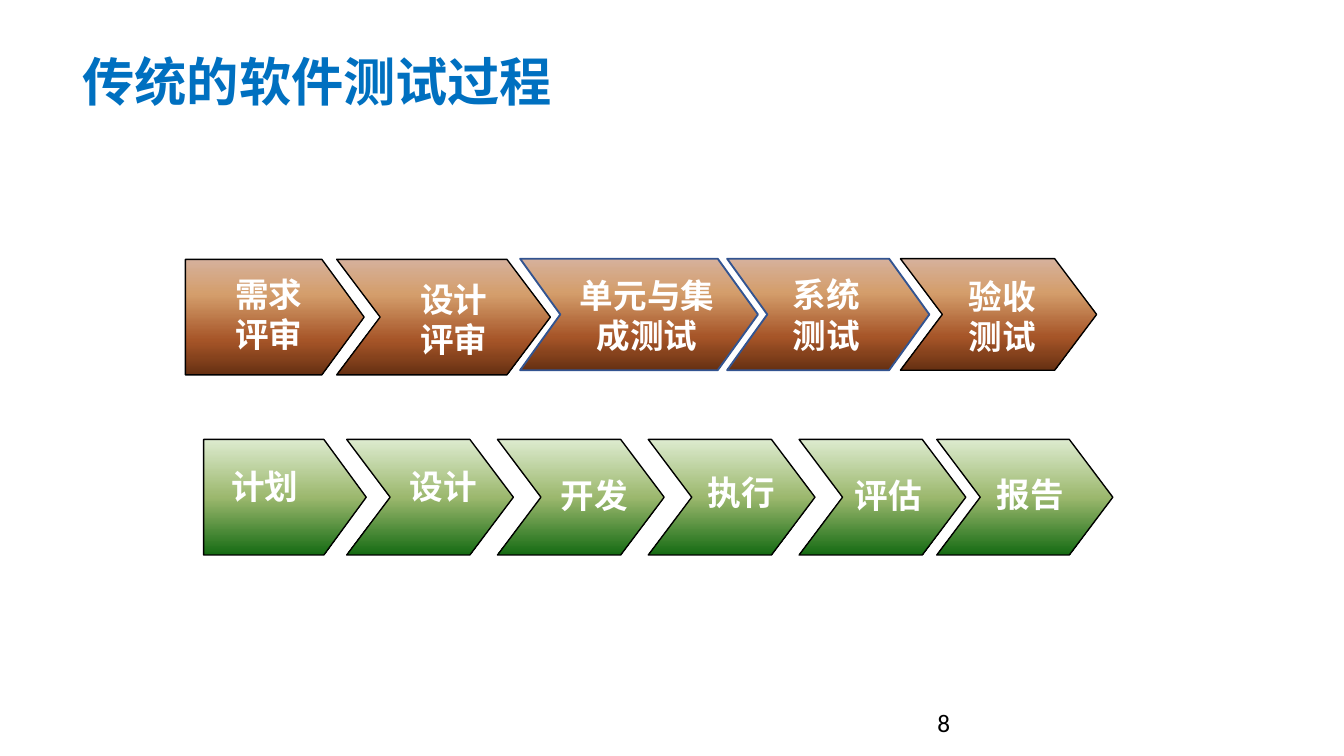
from dataclasses import dataclass

import pptx
import pptx.dml.color
import pptx.enum.shapes
import pptx.enum.text
import pptx.oxml
import pptx.oxml.ns
import pptx.util
from lxml import etree

SLIDE_WIDTH = pptx.util.Inches(10)
SLIDE_HEIGHT = SLIDE_WIDTH * 9 // 16
CELL = SLIDE_WIDTH / 100  # square grid: 100 columns across the slide

CJK_FONT = "Noto Sans CJK SC"
BROWN = ((0, "D6B19C"), (30, "D49E6C"), (70, "A65528"), (100, "663012"))
GREEN = ((0, "DDEBCF"), (50, "9CB86E"), (100, "156B13"))
BLACK, WHITE, NAVY, BLUE = "000000", "FFFFFF", "325491", "0070C0"

PENTAGON = pptx.enum.shapes.MSO_SHAPE.PENTAGON
CHEVRON = pptx.enum.shapes.MSO_SHAPE.CHEVRON
LEFT = pptx.enum.text.PP_ALIGN.LEFT
CENTER = pptx.enum.text.PP_ALIGN.CENTER


@dataclass(frozen=True)
class Area:
    """A rectangle in grid columns and rows."""
    column: float
    row: float
    columns: float
    rows: float

    def lengths(self) -> list[int]:
        return [round(n * CELL) for n in (self.column, self.row, self.columns, self.rows)]


@dataclass(frozen=True)
class Step:
    label: str
    arrow: Area
    label_area: Area
    stops: tuple
    kind: int = CHEVRON
    point: float = 0.376
    edge: str = BLACK
    edge_width: float = 0.75
    align: int = LEFT


def color(value: str) -> pptx.dml.color.RGBColor:
    return pptx.dml.color.RGBColor.from_string(value)


def fill_downward(shape, stops: tuple) -> None:
    """Fill a shape with a top-to-bottom gradient of any number of stops."""
    shape.fill.gradient()
    shape.fill.gradient_angle = 270
    qn = pptx.oxml.ns.qn
    stop_list = next(shape._element.iter(qn("a:gsLst")))
    for old_stop in list(stop_list):
        stop_list.remove(old_stop)
    for percent, value in stops:
        stop = etree.SubElement(stop_list, qn("a:gs"), pos=str(percent * 1000))
        etree.SubElement(stop, qn("a:srgbClr"), val=value)


def add_text(shapes, text: str, area: Area, size: float, value: str,
             font: str = CJK_FONT, bold: bool = True, align: int = LEFT,
             inset: bool = True, spacing: float = 1.0) -> None:
    box = shapes.add_textbox(*area.lengths())
    frame = box.text_frame
    frame.word_wrap = True
    if not inset:
        frame.margin_left = frame.margin_right = 0
        frame.margin_top = frame.margin_bottom = 0
    para = frame.paragraphs[0]
    para.alignment = align
    para.line_spacing = spacing
    span = para.add_run()
    span.text = text
    span.font.name = font
    span.font.size = pptx.util.Pt(size)
    span.font.bold = bold
    span.font.color.rgb = color(value)
    # East Asian glyphs take their typeface from a:ea
    etree.SubElement(span.font._element, pptx.oxml.ns.qn("a:ea"), typeface=font)


def add_step(page, step: Step) -> None:
    group = page.shapes.add_group_shape()
    arrow = group.shapes.add_shape(step.kind, *step.arrow.lengths())
    arrow.adjustments[0] = step.point
    arrow.shadow.inherit = False
    fill_downward(arrow, step.stops)
    arrow.line.color.rgb = color(step.edge)
    arrow.line.width = pptx.util.Pt(step.edge_width)
    add_text(group.shapes, step.label, step.label_area, 18, WHITE,
             align=step.align, inset=False)


REVIEWS = (
    Step("需求评审", Area(13.8, 19.3, 13.3, 8.6), Area(17.5, 20.35, 6.7, 6.1),
         BROWN, PENTAGON, 0.366),
    Step("设计评审", Area(25.05, 19.3, 15.9, 8.6), Area(31.25, 20.75, 7.1, 6.1), BROWN),
    Step("单元与集成测试", Area(38.7, 19.25, 17.7, 8.3), Area(42.85, 20.45, 10.6, 6.1),
         BROWN, point=0.361, edge=NAVY, edge_width=1, align=CENTER),
    Step("系统测试", Area(54.1, 19.25, 15.05, 8.3), Area(59, 20.4, 5.3, 6.1),
         BROWN, point=0.361, edge=NAVY, edge_width=1),
    Step("验收测试", Area(67, 19.25, 14.6, 8.3), Area(72.1, 20.5, 5.3, 6.1), BROWN),
)

# Label, label column, label row of the evenly spaced middle activities
MIDDLE = (("设计", 30.5, 34.7), ("开发", 41.7, 35.35),
          ("执行", 52.65, 35.1), ("评估", 63.6, 35.35))
ACTIVITIES = (
    Step("计划", Area(15.15, 32.7, 12.1, 8.6), Area(17.2, 34.7, 6.8, 3),
         GREEN, PENTAGON, 0.366),
    *(Step(label, Area(25.8 + 11.22 * index, 32.7, 12.4, 8.6),
           Area(column, row, 6.8, 3), GREEN)
      for index, (label, column, row) in enumerate(MIDDLE)),
    Step("报告", Area(69.7, 32.7, 13.1, 8.6), Area(74.15, 35.3, 6.8, 3), GREEN),
)


def main() -> None:
    deck = pptx.Presentation()
    deck.slide_width = SLIDE_WIDTH
    deck.slide_height = SLIDE_HEIGHT
    page = deck.slides.add_slide(deck.slide_layouts[6])
    add_text(page.shapes, "传统的软件测试过程", Area(5.15, 3.7, 47.5, 5.8), 28, BLUE,
             spacing=0.9)
    for step in REVIEWS + ACTIVITIES:
        add_step(page, step)
    add_text(page.shapes, "8", Area(68.75, 52.15, 17.5, 2.6), 13.5, BLACK,
             font="Calibri", bold=False)
    deck.save("out.pptx")


if __name__ == "__main__":
    main()
